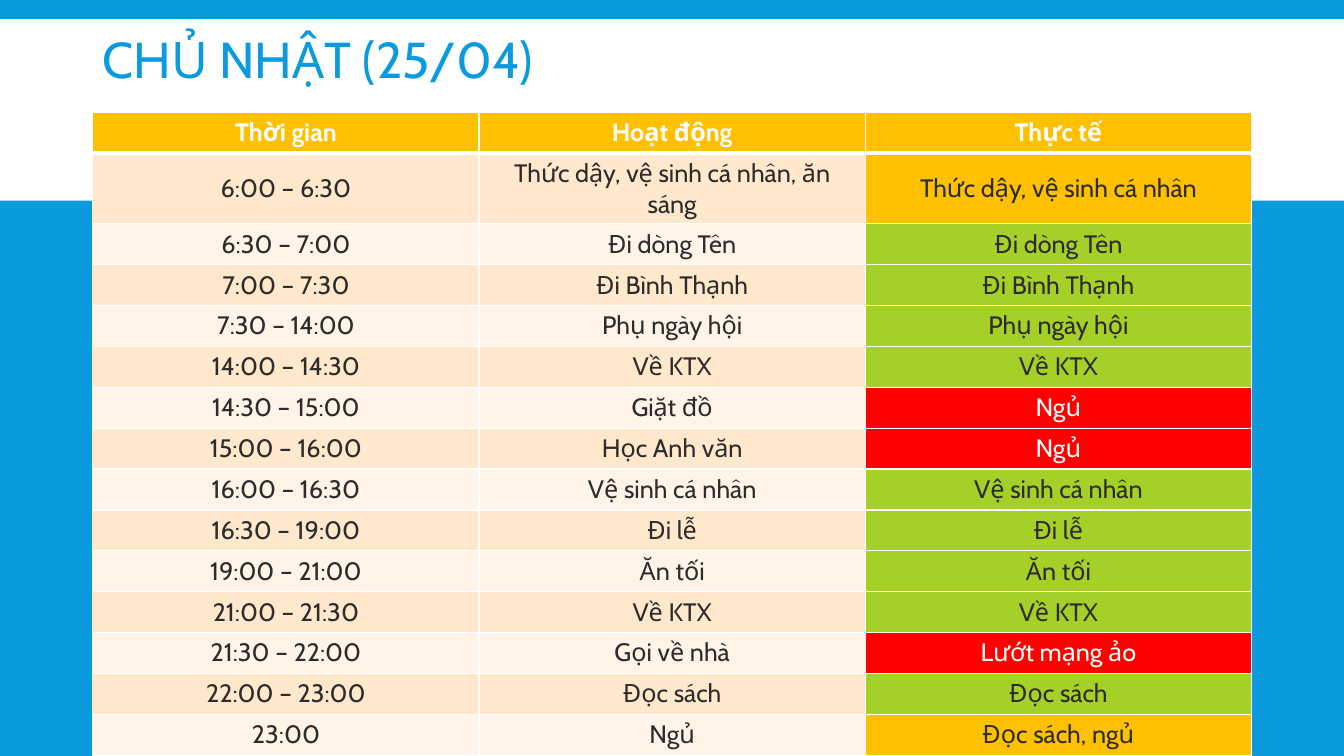
from pptx import Presentation
from pptx.util import Cm, Pt
from pptx.dml.color import RGBColor
from pptx.enum.shapes import MSO_SHAPE as Kind
from pptx.enum.text import MSO_ANCHOR as Anchor, PP_ALIGN as Align
from pptx.oxml import parse_xml

SPACE = "http://schemas.openxmlformats.org/drawingml/2006/main"


def paint(fill, hue):
    fill.solid()
    fill.fore_color.rgb = RGBColor.from_string(hue)


def write(frame, text, size=18, hue="2C2C2C", bold=False, align=Align.CENTER, lead=1.0):
    line = frame.paragraphs[0]
    line.alignment = align
    line.line_spacing = lead
    run = line.add_run()
    run.text = text
    run.font.name = "Cabin"
    run.font.size = Pt(size)
    run.font.bold = bold
    run.font.color.rgb = RGBColor.from_string(hue)


deck = Presentation()
deck.slide_width, deck.slide_height = Cm(33.87), Cm(19.05)
slide = deck.slides.add_slide(deck.slide_layouts[6])
paint(slide.background.fill, "099BDD")

band = slide.shapes.add_shape(Kind.RECTANGLE, 0, Cm(0.48), Cm(33.87), Cm(4.58))
band.shadow.inherit = False
band.line.fill.background()
paint(band.fill, "FFFFFF")

title = slide.shapes.add_textbox(Cm(2.34), Cm(1.02), Cm(11.5), Cm(1.12)).text_frame
title.word_wrap = True
title.vertical_anchor = Anchor.MIDDLE
write(title, "CHỦ NHẬT (25/04)", size=36, hue="099BDD", align=Align.LEFT, lead=0.85)

rows = [
    ("Thời gian", "Hoạt động", "Thực tế"),
    ("6:00 – 6:30", "Thức dậy, vệ sinh cá nhân, ăn sáng", "Thức dậy, vệ sinh cá nhân"),
    ("6:30 – 7:00", "Đi dòng Tên", "Đi dòng Tên"),
    ("7:00 – 7:30", "Đi Bình Thạnh", "Đi Bình Thạnh"),
    ("7:30 – 14:00", "Phụ ngày hội", "Phụ ngày hội"),
    ("14:00 – 14:30", "Về KTX", "Về KTX"),
    ("14:30 – 15:00", "Giặt đồ", "Ngủ"),
    ("15:00 – 16:00", "Học Anh văn", "Ngủ"),
    ("16:00 – 16:30", "Vệ sinh cá nhân", "Vệ sinh cá nhân"),
    ("16:30 – 19:00", "Đi lễ", "Đi lễ"),
    ("19:00 – 21:00", "Ăn tối", "Ăn tối"),
    ("21:00 – 21:30", "Về KTX", "Về KTX"),
    ("21:30 – 22:00", "Gọi về nhà", "Lướt mạng ảo"),
    ("22:00 – 23:00", "Đọc sách", "Đọc sách"),
    ("23:00", "Ngủ", "Đọc sách, ngủ"),
]
high = Cm(1.03)
grid = slide.shapes.add_table(len(rows), 3, Cm(2.34), Cm(2.83), Cm(29.2), high * len(rows)).table
for col in grid.columns:
    col.width = Cm(29.2 / 3)

for r, row in enumerate(rows):
    grid.rows[r].height = high
    plan, done = row[1].lower(), row[2].lower()
    if plan == done:
        mark = "A5D028"
    elif plan in done or done in plan:
        mark = "FFC000"
    else:
        mark = "FF0000"
    for c, text in enumerate(row):
        cell = grid.cell(r, c)
        cell.vertical_anchor = Anchor.MIDDLE
        props = cell._tc.get_or_add_tcPr()
        for side in "LRTB":
            thick = (r, side) in [(0, "B"), (1, "T")]
            props.append(parse_xml(
                f'<a:ln{side} xmlns:a="{SPACE}" w="{Pt(3 if thick else 1)}"><a:solidFill>'
                f'<a:srgbClr val="FFFFFF"/></a:solidFill></a:ln{side}>'))
        if r == 0:
            fill = "FFC000"
        elif c == 2:
            fill = mark
        else:
            fill = "FFE8CC" if r % 2 else "FFF4E7"
        paint(cell.fill, fill)
        light = r == 0 or fill == "FF0000"
        write(cell.text_frame, text, hue="FFFFFF" if light else "2C2C2C", bold=r == 0)

deck.save("out.pptx")
